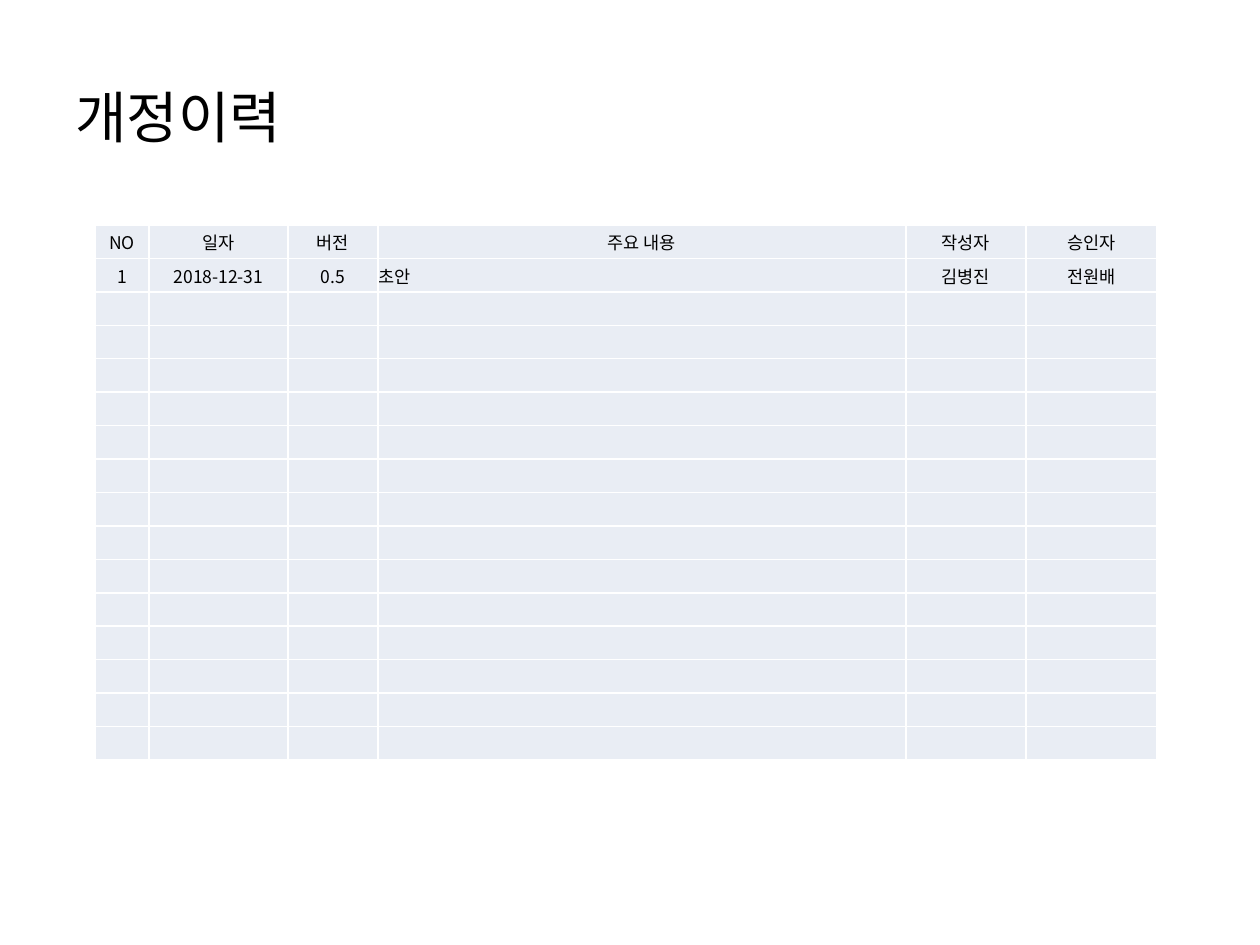
from lxml import etree
from pptx import Presentation
from pptx import util as u
from pptx.dml.color import RGBColor
from pptx.enum import text
from pptx.oxml.ns import qn

FONT = "Noto Sans CJK KR"
BLACK, WHITE, PALE = "000000", "FFFFFF", "E9EDF4"
TITLE = "개정이력"
COLS = [("NO", 54), ("일자", 139), ("버전", 90),
        ("주요 내용", 528), ("작성자", 120), ("승인자", 131)]
DATA = [[name for name, _ in COLS],
        ["1", "2018-12-31", "0.5", "초안", "김병진", "전원배"]]
ROWS = 16
LEFT, TOP, HIGH = 95, 225, 535


def px(n):
    return u.Emu(n * 914400 // 126)


def color(code):
    return RGBColor.from_string(code)


def style(para, size):
    for run in para.runs:
        run.font.size = u.Pt(size)
        run.font.name = FONT
        run.font.color.rgb = color(BLACK)
        etree.SubElement(run.font._element, qn("a:ea"), typeface=FONT)
    if not para.runs:
        etree.SubElement(para._p, qn("a:endParaRPr"), sz=str(size * 100))


def border(cell):
    props = cell._tc.get_or_add_tcPr()
    for i, side in enumerate("LRTB"):
        line = etree.Element(qn("a:ln" + side), w=str(u.Pt(1)))
        fill = etree.SubElement(line, qn("a:solidFill"))
        etree.SubElement(fill, qn("a:srgbClr"), val=WHITE)
        props.insert(i, line)


def title(slide):
    box = slide.shapes.add_textbox(px(63), px(38), px(1134), px(157))
    frame = box.text_frame
    frame.word_wrap = True
    frame.vertical_anchor = text.MSO_ANCHOR.MIDDLE
    frame.text = TITLE
    style(frame.paragraphs[0], 32)


def history(slide):
    wide = sum(w for _, w in COLS)
    grid = slide.shapes.add_table(
        ROWS, len(COLS), px(LEFT), px(TOP), px(wide), px(HIGH)).table
    grid.first_row = grid.horz_banding = False
    for col, (_, w) in zip(grid.columns, COLS):
        col.width = px(w)
    for r in range(ROWS):
        grid.rows[r].height = px(HIGH) // ROWS
        for c in range(len(COLS)):
            cell = grid.cell(r, c)
            cell.fill.solid()
            cell.fill.fore_color.rgb = color(PALE)
            cell.vertical_anchor = text.MSO_ANCHOR.MIDDLE
            cell.margin_left = cell.margin_right = cell.margin_top = px(1)
            cell.margin_bottom = 0
            border(cell)
            para = cell.text_frame.paragraphs[0]
            if r < len(DATA):
                para.text = DATA[r][c]
                if r == 0 or c != 3:
                    para.alignment = text.PP_ALIGN.CENTER
            style(para, 10)


def main():
    deck = Presentation()
    deck.slide_width, deck.slide_height = px(1260), px(945)
    slide = deck.slides.add_slide(deck.slide_layouts[6])
    title(slide)
    history(slide)
    deck.save("out.pptx")


if __name__ == "__main__":
    main()
